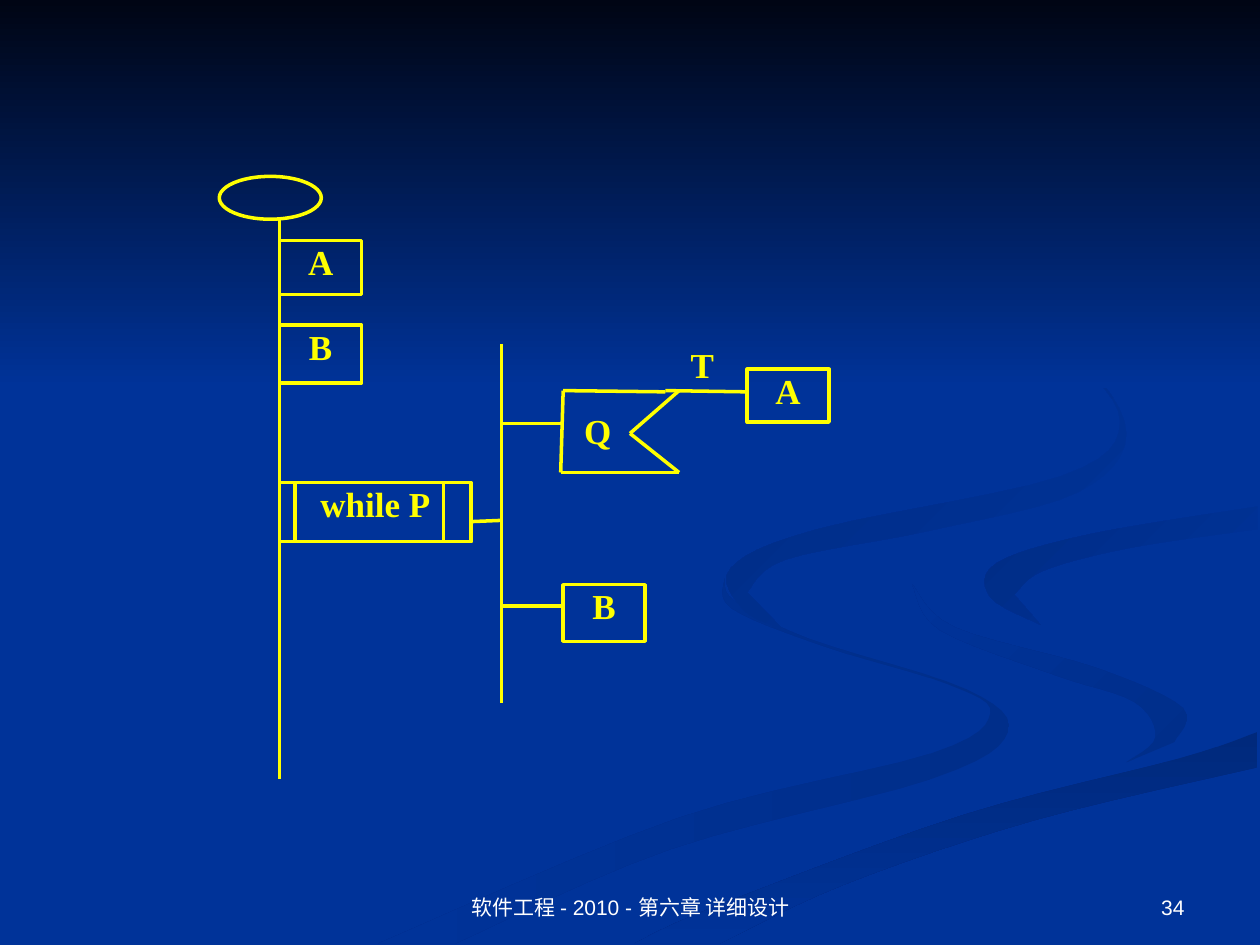
import pptx
import pptx.util
import pptx.dml.color
import pptx.enum.shapes
import pptx.enum.text
import pptx.oxml.ns
import lxml.etree

Inches = pptx.util.Inches
Kind = pptx.enum.shapes.MSO_SHAPE
Align = pptx.enum.text.PP_ALIGN
Anchor = pptx.enum.text.MSO_ANCHOR
RGB = pptx.dml.color.RGBColor.from_string

COLORS = {
    "blue": "003399",
    "night": "000514",
    "yellow": "FFFF00",
    "white": "FFFFFF",
    "left shade": "002E8A",
    "lower shade": "00297C",
    "right shade": "002C85",
    "upper shade": "002B81",
}


def write_text(box, text, size=20, font="Times New Roman", color="yellow", bold=True,
               align=Align.CENTER, anchor=Anchor.TOP, top=0, bottom=0.01):
    frame = box.text_frame
    frame.word_wrap = True
    frame.vertical_anchor = anchor
    frame.margin_left = frame.margin_right = Inches(0.1)
    frame.margin_top, frame.margin_bottom = Inches(top), Inches(bottom)
    para = frame.paragraphs[0]
    para.alignment = align
    span = para.add_run()
    span.text = text
    span.font.size = pptx.util.Pt(size)
    span.font.name = font
    span.font.bold = bold
    span.font.color.rgb = RGB(COLORS[color])


def smooth_curve(points, steps=6):
    padded = [points[0], *points, points[-1]]
    curve = []
    for before, here, after, beyond in zip(padded, padded[1:], padded[2:], padded[3:]):
        for step in range(steps):
            t = step / steps
            curve.append(tuple(
                b + t * (c - a + t * (2 * a - 5 * b + 4 * c - d + t * (3 * b - a - 3 * c + d))) / 2
                for a, b, c, d in zip(before, here, after, beyond)))
    return curve + [points[-1]]


deck = pptx.Presentation()
deck.slide_width, deck.slide_height = Inches(10), Inches(7.5)
page = deck.slides.add_slide(deck.slide_layouts[6])
page.background.fill.solid()
page.background.fill.fore_color.rgb = RGB(COLORS["blue"])

ribbons = [
    ("left shade", "blue", 180,
     [(5.75, 4.59), (5.81, 4.83), (6.54, 5.13), (7.52, 5.43), (7.86, 5.66), (7.39, 5.98),
      (5.39, 6.49), (3, 7.49)],
     [(3.61, 7.49), (5.32, 6.74), (7.4, 6.18), (8, 5.81), (7.67, 5.47), (6.42, 5.07),
      (5.83, 4.77), (5.75, 4.59)]),
    ("left shade", "blue", 225,
     [(7.24, 4.64), (7.46, 5), (8.38, 5.36), (9, 5.57), (9.17, 5.85), (8.94, 6.05)],
     [(9.32, 5.89), (9.39, 5.62), (8.7, 5.3), (7.58, 4.98), (7.24, 4.64)]),
    ("lower shade", "blue", 90,
     [(5.03, 7.49), (5.69, 7.19), (7.64, 6.47), (9.36, 6.02), (9.98, 5.81)],
     [(9.98, 6.09), (8.21, 6.51), (6.7, 7.02), (5.71, 7.49)]),
    ("blue", "right shade", 225,
     [(9.98, 4.02), (8.65, 4.24), (7.91, 4.47), (7.86, 4.74), (8.26, 4.96)],
     [(8.05, 4.72), (8.28, 4.53), (8.96, 4.35), (9.98, 4.2)]),
    ("blue", "upper shade", 225,
     [(7.62, 2.33), (8.46, 2.79), (8.89, 3.35), (8.42, 3.78), (6.49, 4.2), (5.8, 4.51),
      (5.9, 4.84), (6.22, 5)],
     [(5.93, 4.7), (6.24, 4.44), (7.39, 4.21), (8.55, 3.91), (8.94, 3.44), (8.54, 2.83),
      (7.62, 2.33)]),
    ("night", "blue", 90, [(0, 0), (10, 0)], [(10, 3.08), (0, 3.08)]),
]
for start, end, angle, *edges in ribbons:
    points = [(Inches(x), Inches(y)) for edge in edges for x, y in smooth_curve(edge)]
    builder = page.shapes.build_freeform(*points[0])
    builder.add_line_segments(points[1:], close=True)
    ribbon = builder.convert_to_shape()
    ribbon.shadow.inherit = False
    ribbon.line.fill.background()
    ribbon.fill.gradient()
    ribbon.fill.gradient_angle = 360 - angle
    for stop, color, position in zip(ribbon.fill.gradient_stops, (start, end), (0, 1)):
        stop.color.rgb = RGB(COLORS[color])
        stop.position = position

trunk, branch, arm = 2.22, 3.98, 4.47
nodes = [
    (Kind.OVAL, 1.74, 1.4, 0.81, 0.34, ""),
    (Kind.RECTANGLE, trunk, 1.91, 0.65, 0.43, "A"),
    (Kind.RECTANGLE, trunk, 2.58, 0.65, 0.46, "B"),
    (Kind.RECTANGLE, trunk, 3.83, 1.52, 0.47, "while P"),
    (Kind.RECTANGLE, arm, 4.64, 0.65, 0.45, "B"),
    (Kind.RECTANGLE, 5.93, 2.93, 0.65, 0.42, "A"),
]
for kind, left, top, width, height, label in nodes:
    node = page.shapes.add_shape(kind, Inches(left), Inches(top), Inches(width), Inches(height))
    node.shadow.inherit = False
    node.fill.background()
    node.line.color.rgb = RGB(COLORS["yellow"])
    node.line.width = pptx.util.Pt(2)
    if label:
        write_text(node, label)

lines = [(x, 3.83, x, 4.3) for x in (2.34, 3.52)]
lines += [(branch, y, arm, y) for y in (3.36, 4.81)]
lines += [
    (trunk, 1.74, trunk, 6.18),
    (3.74, 4.14, branch, 4.13),
    (branch, 2.73, branch, 5.58),
    (arm, 3.1, 4.45, 3.75),
    (arm, 3.1, 5.28, 3.11),
    (5.28, 3.1, 5.93, 3.11),
    (5.39, 3.1, 5, 3.44),
    (5, 3.44, 5.39, 3.75),
    (4.45, 3.75, 5.39, 3.75),
]
for ends in lines:
    line = page.shapes.add_connector(
        pptx.enum.shapes.MSO_CONNECTOR.STRAIGHT, *[Inches(value) for value in ends])
    line.line.color.rgb = RGB(COLORS["yellow"])
    line.line.width = pptx.util.Pt(2)
    properties = line.element.find(pptx.oxml.ns.qn("p:spPr"))
    lxml.etree.SubElement(properties, pptx.oxml.ns.qn("a:effectLst"))

footer = dict(size=12, font="Arial", color="white", bold=False,
              anchor=Anchor.BOTTOM, top=0.05, bottom=0.05)
captions = [
    (4.53, 3.25, 0.43, 0.34, "Q", {}),
    (5.36, 2.73, 0.43, 0.34, "T", {}),
    (3.42, 6.83, 3.17, 0.52, "软件工程 - 2010 - 第六章 详细设计", footer),
    (7.17, 6.83, 2.33, 0.52, "34", dict(footer, align=Align.RIGHT)),
]
for left, top, width, height, text, style in captions:
    caption = page.shapes.add_textbox(Inches(left), Inches(top), Inches(width), Inches(height))
    write_text(caption, text, **style)

deck.save("out.pptx")
